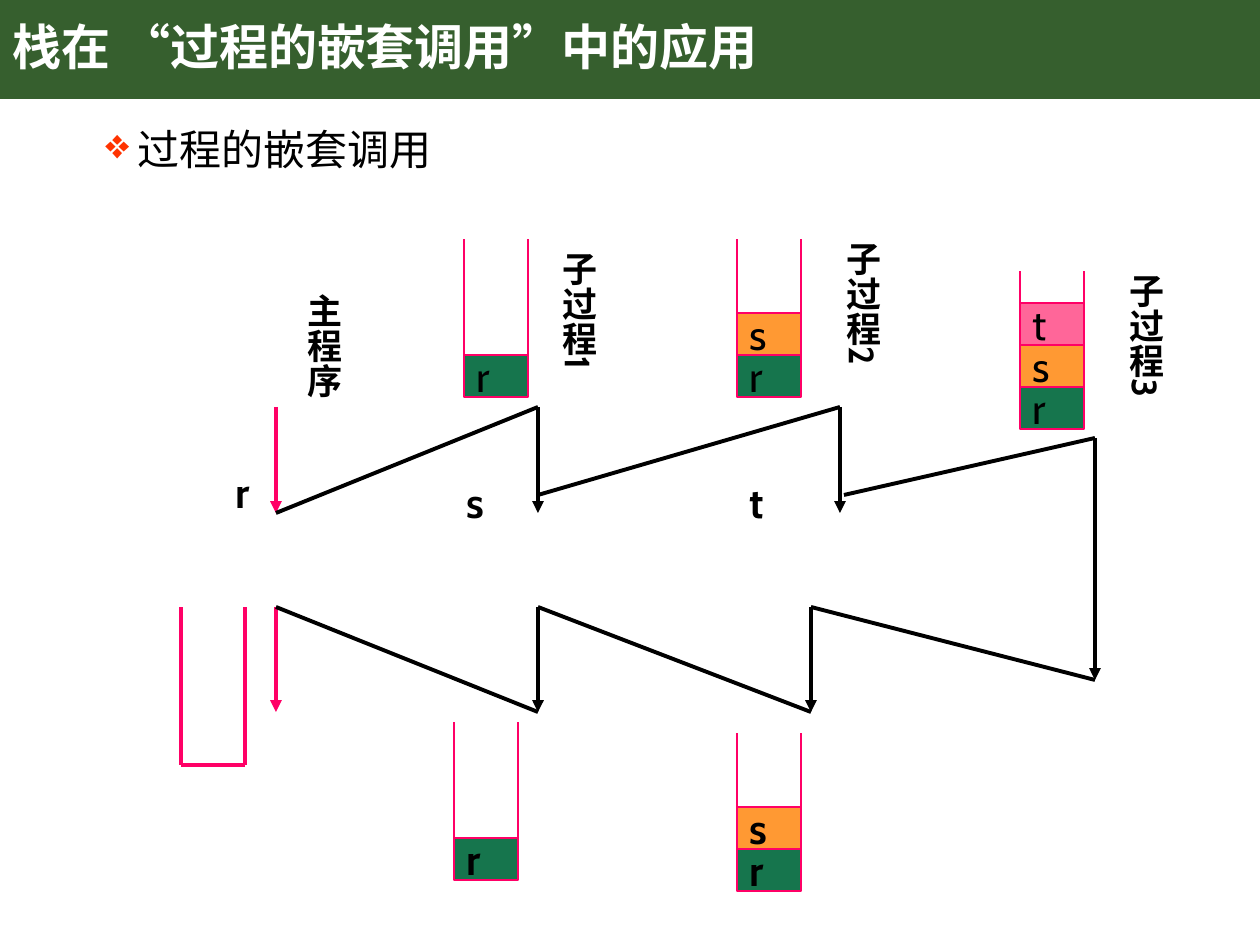
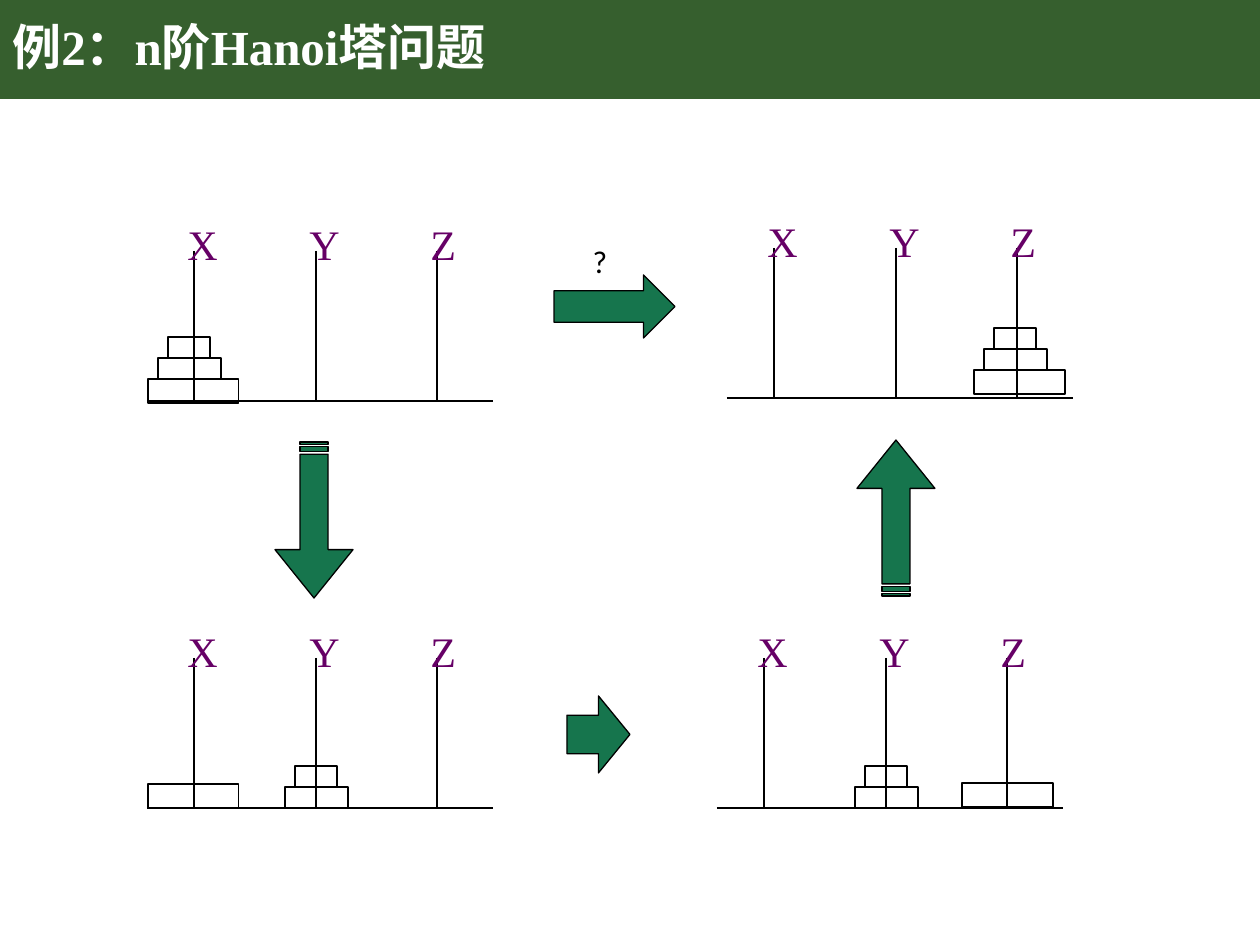
import pptx
import pptx.util
import pptx.dml.color
import pptx.enum.shapes
import pptx.enum.text
import pptx.oxml.ns
from lxml import etree

PX = 914400 / 126
SHAPES = pptx.enum.shapes.MSO_SHAPE
COLOURS = {
    "band": "365F2E", "white": "FFFFFF", "ink": "000000", "bullet": "FF3300",
    "pink": "FF0066", "green": "16754D", "label": "660066",
    "r": "16754D", "s": "FF9933", "t": "FF6699",
}
CELL_HEIGHT, STACK_WIDTH, STACK_HEIGHT = 42, 64, 158
DISCS = {"large": (91, 24, 4), "medium": (63, 21, 0), "small": (42, 21, 0)}
PEGS = {"X": (47, 55), "Y": (169, 55), "Z": (290, 50)}


def emu(*lengths):
    """Turn px lengths into EMU."""
    return [round(length * PX) for length in lengths]


def rgb(name):
    """Look up a named colour."""
    return pptx.dml.color.RGBColor.from_string(COLOURS[name])


def write(frame, text, size, font, colour="ink", bold=False):
    """Put one left-aligned run in a text frame and return its paragraph."""
    paragraph = frame.paragraphs[0]
    paragraph.alignment = pptx.enum.text.PP_ALIGN.LEFT
    run = paragraph.add_run()
    run.text = text
    run.font.size = pptx.util.Pt(size)
    run.font.name = font
    run.font.bold = bold
    run.font.color.rgb = rgb(colour)
    return paragraph


def add_label(slide, box, text, size, font, colour="ink", bold=False, wrap=True, vertical=False):
    """Add a text box that grows with its text."""
    frame = slide.shapes.add_textbox(*emu(*box)).text_frame
    frame.word_wrap = wrap
    frame.auto_size = pptx.enum.text.MSO_AUTO_SIZE.SHAPE_TO_FIT_TEXT
    if vertical:
        frame._txBody.bodyPr.set("vert", "eaVert")
    write(frame, text, size, font, colour, bold)


def add_block(slide, kind, box, fill=None, line=None, width=0.75):
    """Add a preset shape with optional fill and outline."""
    block = slide.shapes.add_shape(kind, *emu(*box))
    block.shadow.inherit = False
    if fill:
        block.fill.solid()
        block.fill.fore_color.rgb = rgb(fill)
    else:
        block.fill.background()
    if line:
        block.line.color.rgb = rgb(line)
        block.line.width = pptx.util.Pt(width)
    else:
        block.line.fill.background()
    return block


def add_line(slide, ends, colour="ink", width=2.25, arrow=False):
    """Draw a straight line, with an arrowhead at its end if asked."""
    line = slide.shapes.add_connector(pptx.enum.shapes.MSO_CONNECTOR.STRAIGHT, *emu(*ends))
    line.line.color.rgb = rgb(colour)
    line.line.width = pptx.util.Pt(width)
    if arrow:
        etree.SubElement(line.line._get_or_add_ln(), pptx.oxml.ns.qn("a:tailEnd"), type="triangle")
    etree.SubElement(line._element.spPr, pptx.oxml.ns.qn("a:effectLst"))


def add_titled_slide(deck, title):
    """Add a blank slide with the title band."""
    slide = deck.slides.add_slide(deck.slide_layouts[6])
    add_block(slide, SHAPES.RECTANGLE, (0, 0, 1260, 99), "band")
    frame = slide.shapes.add_textbox(*emu(0, 0, 1086, 99)).text_frame
    frame.word_wrap = True
    frame.vertical_anchor = pptx.enum.text.MSO_ANCHOR.MIDDLE
    write(frame, title, 28, "Times New Roman", "white", True).line_spacing = 0.9
    return slide


def add_topic(slide, box, text):
    """Add the bulleted topic line."""
    frame = slide.shapes.add_textbox(*emu(*box)).text_frame
    frame.word_wrap = True
    properties = frame.paragraphs[0]._p.get_or_add_pPr()
    margin, indent = emu(125, -32)
    properties.set("marL", str(margin))
    properties.set("indent", str(indent))
    colour = etree.SubElement(properties, pptx.oxml.ns.qn("a:buClr"))
    etree.SubElement(colour, pptx.oxml.ns.qn("a:srgbClr"), val=COLOURS["bullet"])
    etree.SubElement(properties, pptx.oxml.ns.qn("a:buChar"), char="❖")
    write(frame, text, 24, "Arial")


def add_stack(slide, left, top, addresses, bold):
    """Draw an open stack holding return addresses from the bottom up."""
    right, bottom = left + STACK_WIDTH, top + STACK_HEIGHT
    width = 1.5 if addresses else 2.25
    for wall in (left, right):
        add_line(slide, (wall, bottom, wall, top), "pink", width)
    if not addresses:
        add_line(slide, (left, bottom, right, bottom), "pink", width)
    for level, address in enumerate(addresses, 1):
        box = (left, bottom - level * CELL_HEIGHT, STACK_WIDTH, CELL_HEIGHT)
        cell = add_block(slide, SHAPES.RECTANGLE, box, address, "pink", 1.5)
        cell.text_frame.word_wrap = False
        cell.text_frame.vertical_anchor = pptx.enum.text.MSO_ANCHOR.MIDDLE
        write(cell.text_frame, address, 24, "Cabin", bold=bold)


def add_tower(slide, left, top, piles):
    """Draw three pegs on a base, with piles of (peg, lift, shift, discs)."""
    base = top + 189
    add_line(slide, (left, base, left + 346, base), width=0.75)
    for name, (peg, width) in PEGS.items():
        add_line(slide, (left + peg, top + 39, left + peg, base), width=0.75)
        add_label(slide, (left + peg - 19, top, width, 63), name, 24,
                  "Times New Roman", "label", wrap=False)
    for name, lift, shift, discs in piles:
        y = base - lift
        for disc in discs:
            width, height, offset = DISCS[disc]
            y -= height
            x = left + PEGS[name][0] + shift + offset - width // 2
            add_block(slide, SHAPES.RECTANGLE, (x, y, width, height), line="ink")


def build_nested_calls(deck):
    """Build the slide on nested procedure calls."""
    slide = add_titled_slide(deck, "栈在 “过程的嵌套调用”中的应用")
    add_topic(slide, (0, 117, 1139, 152), "过程的嵌套调用")

    for x, top, bottom, colour in (
        (276, 407, 513, "pink"), (538, 407, 513, "ink"), (840, 407, 513, "ink"),
        (1095, 438, 680, "ink"), (811, 607, 712, "ink"), (538, 607, 712, "ink"),
        (276, 607, 712, "pink"),
    ):
        add_line(slide, (x, top, x, bottom), colour, arrow=True)
    for jump in (
        (276, 513, 538, 407), (538, 495, 840, 407), (844, 495, 1095, 438),
        (1095, 680, 811, 607), (811, 712, 538, 607), (538, 712, 276, 607),
    ):
        add_line(slide, jump)

    for left, top, addresses, bold in (
        (464, 239, "r", False), (737, 239, "rs", False), (1020, 271, "rst", False),
        (737, 733, "rs", True), (454, 722, "r", True), (181, 607, "", False),
    ):
        add_stack(slide, left, top, addresses, bold)

    for left, top, width, address in ((223, 460, 42, "r"), (454, 470, 73, "s"), (737, 470, 63, "t")):
        add_label(slide, (left, top, width, 63), address, 24, "Cabin", bold=True)
    for left, top, height, procedure in (
        (283, 281, 220, "主程序"), (538, 239, 189, "子过程1"),
        (822, 229, 189, "子过程2"), (1105, 261, 189, "子过程3"),
    ):
        add_label(slide, (left, top, 68, height), procedure, 20, "Cabin", bold=True, vertical=True)


def build_hanoi(deck):
    """Build the slide on the Hanoi tower problem."""
    slide = add_titled_slide(deck, "例2：n阶Hanoi塔问题")
    all_discs = ("large", "medium", "small")
    moved = ("Y", 0, 0, all_discs[1:])
    add_tower(slide, 147, 212, [("X", -2, -5, all_discs)])
    add_tower(slide, 727, 209, [("Z", 4, -2, all_discs)])
    add_tower(slide, 147, 619, [("X", 0, -5, all_discs[:1]), moved])
    add_tower(slide, 717, 619, [("Z", 1, -4, all_discs[:1]), moved])

    for box in ((554, 275, 121, 63), (567, 696, 63, 77)):
        add_block(slide, SHAPES.RIGHT_ARROW, box, "green", "ink")
    for left, top, rotation in ((236, 481, 90), (818, 479, 270)):
        step = add_block(slide, SHAPES.STRIPED_RIGHT_ARROW, (left, top, 156, 78), "green", "ink")
        step.adjustments[0] = 0.36
        step.adjustments[1] = 0.62
        step.rotation = rotation
    add_label(slide, (586, 236, 19, 50), "?", 18, "Calibri")


def main():
    """Build and save the deck."""
    deck = pptx.Presentation()
    deck.slide_width, deck.slide_height = emu(1260, 945)
    build_nested_calls(deck)
    build_hanoi(deck)
    deck.save("out.pptx")


if __name__ == "__main__":
    main()
